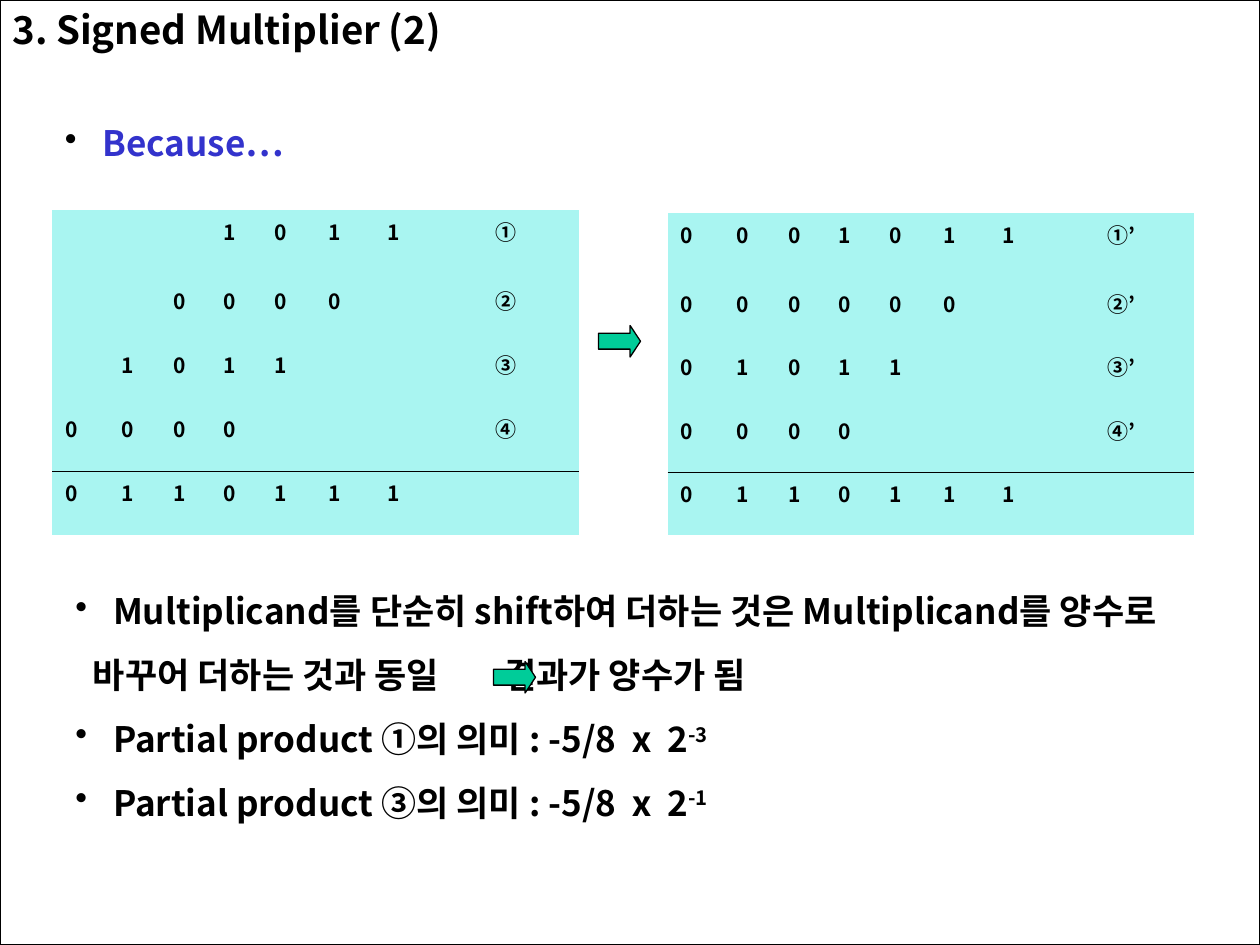
from lxml.etree import SubElement
from pptx import Presentation
from pptx.dml.color import RGBColor
from pptx.enum.shapes import MSO_SHAPE
from pptx.enum.text import PP_ALIGN
from pptx.oxml import parse_xml
from pptx.oxml.ns import nsdecls, qn
from pptx.util import Pt

BLACK = RGBColor(0, 0, 0)
BLUE = RGBColor(0x33, 0x33, 0xCC)
CYAN = RGBColor(0xA9, 0xF5, 0xF1)
GREEN = RGBColor(0, 0xCC, 0x99)
FONT = "Noto Sans CJK KR"
NO_STYLE = "{2D5ABB26-0587-4C30-8999-92F81FD0307C}"
COL_WIDTHS = [32.4, 29.5, 28.8, 28.8, 31, 33.8, 33.1, 83.5]
SHIFTED = ["   1011①", "  0000 ②", " 1011  ③", "0000   ④", "0110111"]
EXTENDED = ["0001011①", "000000 ②", "01011  ③", "0000   ④", "0110111"]


def add_run(p, text, size, color=BLACK, baseline=None):
    """Add one bold run to a paragraph."""
    r = p.add_run()
    r.text = text
    for name, value in {"name": FONT, "size": Pt(size), "bold": True}.items():
        setattr(r.font, name, value)
    r.font.color.rgb = color
    rPr = r._r.get_or_add_rPr()
    SubElement(rPr, qn("a:ea"), typeface=FONT)
    if baseline:
        rPr.set("baseline", str(baseline))


def add_bullet(p):
    """Give a paragraph a black hanging bullet."""
    pPr = p._p.get_or_add_pPr()
    pPr.set("marL", str(Pt(17)))
    pPr.set("indent", str(-Pt(17)))
    color = SubElement(SubElement(pPr, qn("a:buClr")), qn("a:srgbClr"))
    color.set("val", str(BLACK))
    SubElement(pPr, qn("a:buChar"), char="•")


def add_tabs(p, stops):
    """Set left tab stops, in points, on a paragraph."""
    tabs = SubElement(p._p.get_or_add_pPr(), qn("a:tabLst"))
    for stop in stops:
        SubElement(tabs, qn("a:tab"), pos=str(Pt(stop)), algn="l")


def add_text(s, box, paragraphs, size, space=0):
    """Place a text box of (bulleted, runs) paragraphs."""
    tf = s.shapes.add_textbox(*map(Pt, box)).text_frame
    tf.word_wrap = True
    for i, (bulleted, runs) in enumerate(paragraphs):
        p = tf.paragraphs[0] if i == 0 else tf.add_paragraph()
        p.space_before = Pt(space)
        if bulleted:
            add_bullet(p)
        for text, *style in runs:
            add_run(p, text, size, *style)
    return tf


def add_rule(cell, side):
    """Draw a thin black border on one side of a cell."""
    cell._tc.get_or_add_tcPr().insert(0, parse_xml(
        f'<a:{side} {nsdecls("a")} w="{Pt(0.45)}"><a:solidFill>'
        f'<a:srgbClr val="{BLACK}"/></a:solidFill></a:{side}>'))


def add_products(s, box, rows, mark=""):
    """Place a table of partial products with their sum below a rule."""
    table = s.shapes.add_table(len(rows), len(COL_WIDTHS), *map(Pt, box)).table
    table.first_row = table.horz_banding = False
    table._tbl.tblPr.find(qn("a:tableStyleId")).text = NO_STYLE
    for column, width in zip(table.columns, COL_WIDTHS):
        column.width = Pt(width)
    first = 39.4
    for i, row in enumerate(table.rows):
        row.height = Pt(first if i == 0 else (box[3] - first) / (len(rows) - 1))
    last = len(COL_WIDTHS) - 1
    for i, line in enumerate(rows):
        for j, char in enumerate(line.ljust(last + 1)):
            cell = table.cell(i, j)
            cell.fill.solid()
            cell.fill.fore_color.rgb = CYAN
            if i >= len(rows) - 2:
                add_rule(cell, "lnT" if i == len(rows) - 1 else "lnB")
            if char != " ":
                p = cell.text_frame.paragraphs[0]
                p.space_before = Pt(3)
                if j == last:
                    p.alignment = PP_ALIGN.CENTER
                add_run(p, char + mark if j == last else char, 12)


def add_outlined(s, kind, box, fill=None):
    """Place a black-outlined shape, hollow unless a fill is given."""
    sp = s.shapes.add_shape(kind, *map(Pt, box))
    sp.shadow.inherit = False
    sp.line.color.rgb = BLACK
    sp.line.width = Pt(0.75)
    if fill is None:
        sp.fill.background()
    else:
        sp.fill.solid()
        sp.fill.fore_color.rgb = fill
    return sp


def add_arrow(s, box):
    """Place a green arrow pointing right."""
    sp = add_outlined(s, MSO_SHAPE.RIGHT_ARROW, box, GREEN)
    sp.adjustments[0], sp.adjustments[1] = 0.5, 0.33


def add_explanation(s, box):
    """Place the closing remarks on the meaning of the products."""
    remarks = [
        (True, [(" Multiplicand를 단순히 shift하여 더하는 것은 Multiplicand를 양수로",)]),
        (False, [("\t바꾸어 더하는 것과 동일\t결과가 양수가 됨",)]),
    ]
    for number, power in (("①", "-3"), ("③", "-1")):
        remarks.append((True, [(f" Partial product {number}의 의미 : -5/8 ⅹ 2",),
                               (power, BLACK, 30000)]))
    tf = add_text(s, box, remarks, 20, 12.5)
    add_tabs(tf.paragraphs[1], [10, 245])


def main():
    """Build and save the slide."""
    prs = Presentation()
    prs.slide_width, prs.slide_height = Pt(720), Pt(540)
    s = prs.slides.add_slide(prs.slide_layouts[6])
    add_outlined(s, MSO_SHAPE.RECTANGLE, (0, 0, 720, 540))
    add_text(s, (0, 0, 381, 34), [(False, [("3. Signed Multiplier (2)",)])], 22)
    add_text(s, (30, 66, 654, 32), [(True, [(" ",), ("Because…", BLUE)])], 20, 12.5)
    add_products(s, (30, 120, 301, 186), SHIFTED)
    add_products(s, (381.5, 121.7, 301, 184.3), EXTENDED, "’")
    add_explanation(s, (36, 333.5, 654, 204.5))
    for left, top in ((282, 378), (342, 186)):
        add_arrow(s, (left, top, 24, 18))
    prs.save("out.pptx")


if __name__ == "__main__":
    main()
